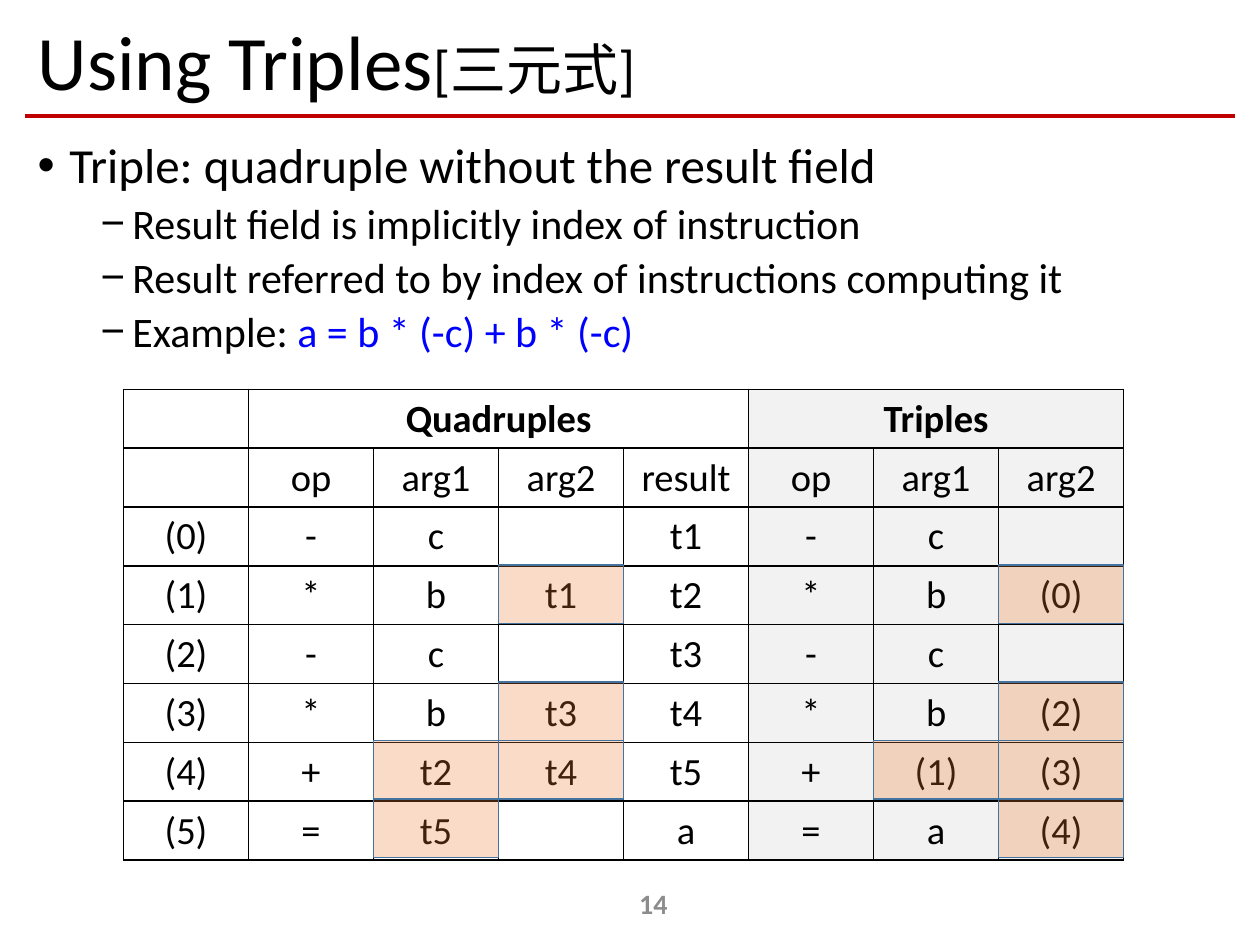
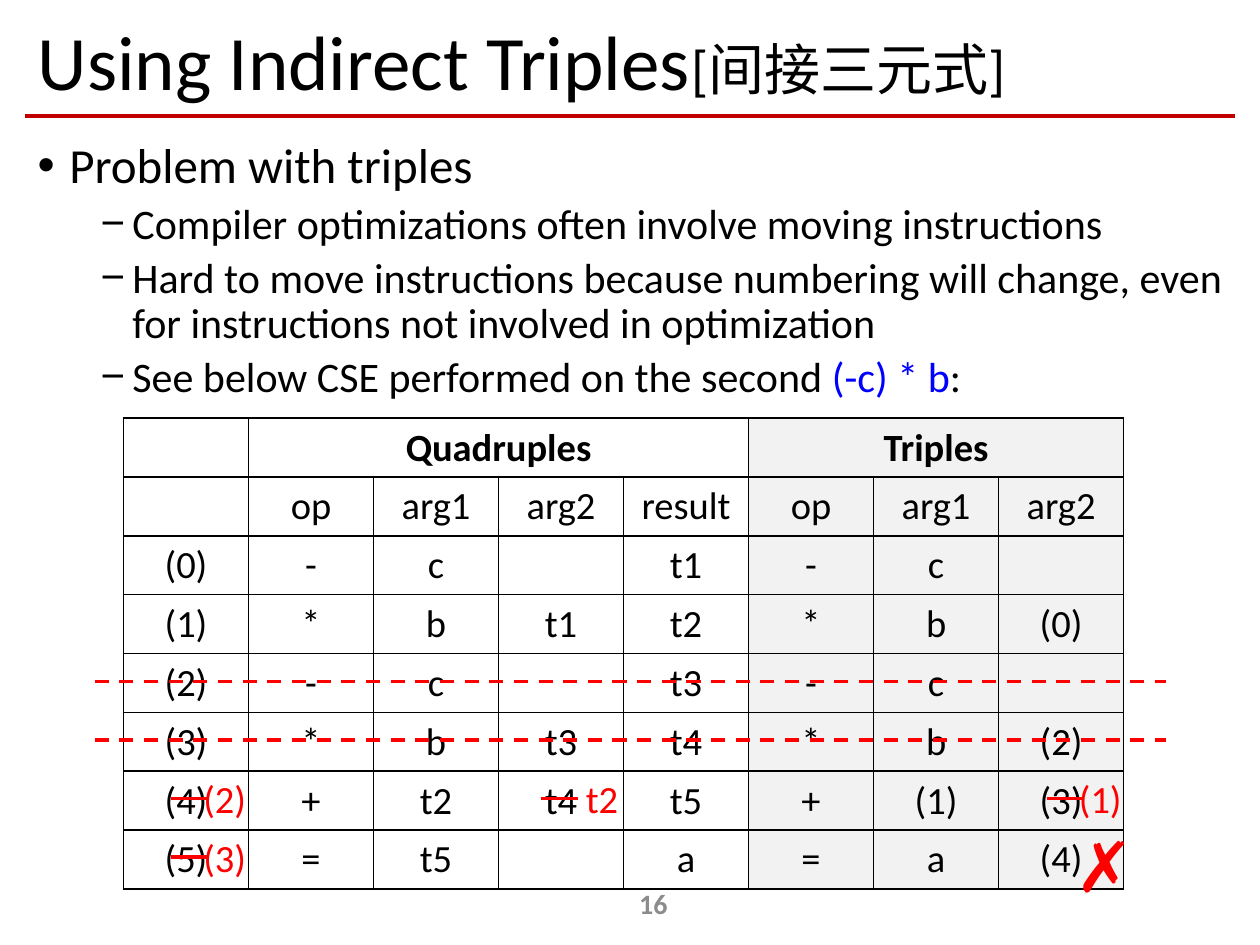
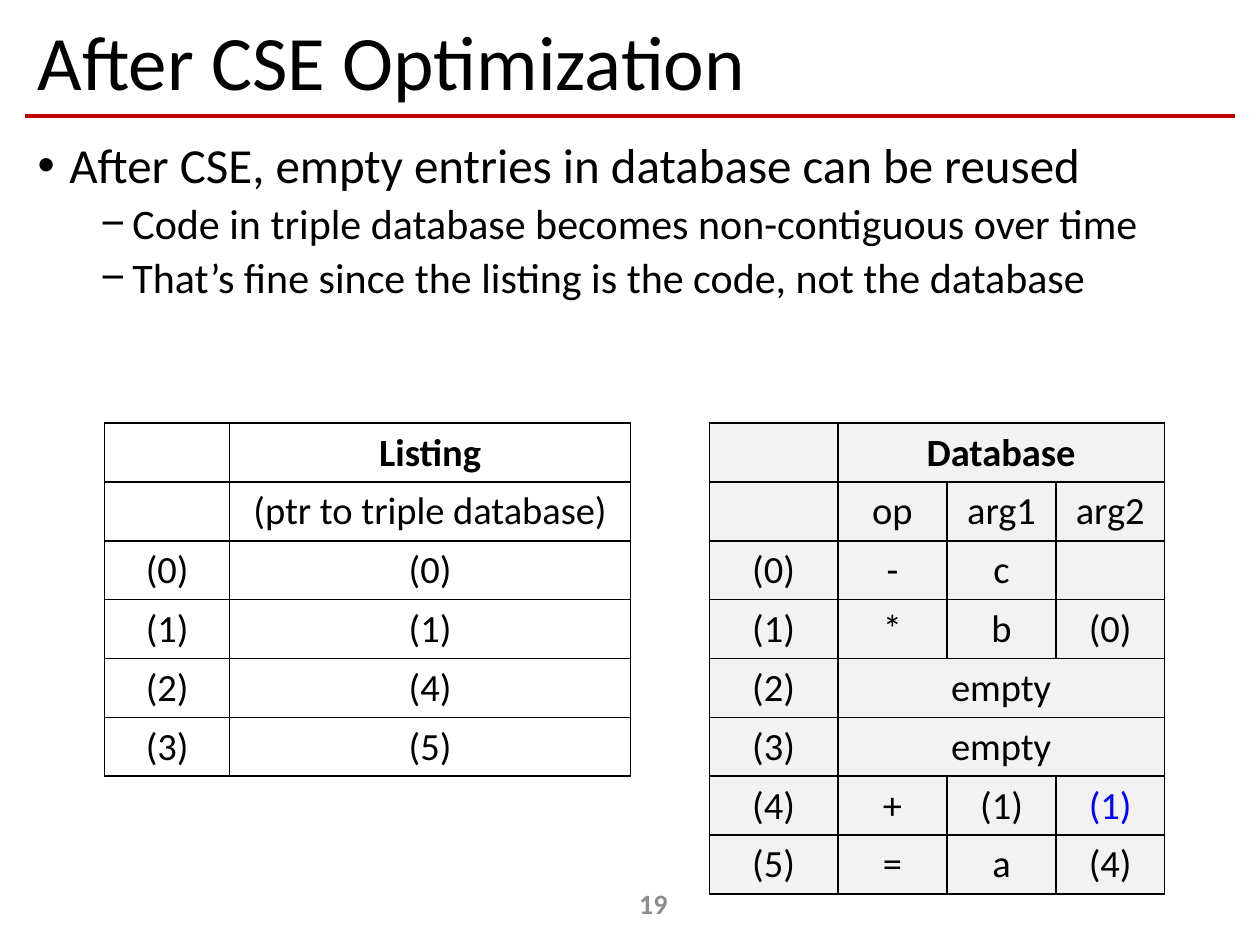
from dataclasses import dataclass

from lxml.etree import SubElement
from pptx import Presentation
from pptx.dml.color import RGBColor
from pptx.enum.dml import MSO_LINE
from pptx.enum.shapes import MSO_CONNECTOR, MSO_SHAPE
from pptx.enum.text import MSO_ANCHOR, PP_ALIGN
from pptx.oxml.ns import qn
from pptx.util import Cm, Pt


@dataclass(frozen=True)
class Theme:
    font: str = "Calibri"
    ink: str = "000000"
    rule: str = "C00000"
    code: str = "0000FF"
    change: str = "FF0000"
    muted: str = "8C8C8C"
    shade: str = "F2F2F2"
    highlight: str = "ED7D31"
    highlight_edge: str = "43739E"
    highlight_alpha: int = 27
    title: int = 44
    subtitle: int = 32
    topic: int = 28
    detail: int = 24
    cell: int = 22
    number: int = 16
    cross: int = 40


THEME = Theme()

ROW_HEIGHT = 1.18
COLUMN_WIDTH = 2.52
QUADRUPLES_LEFT = 2.49
TRIPLES_LEFT = QUADRUPLES_LEFT + 5 * COLUMN_WIDTH

QUADRUPLES = [
    ["", "Quadruples", None, None, None],
    ["", "op", "arg1", "arg2", "result"],
    ["(0)", "-", "c", "", "t1"],
    ["(1)", "*", "b", "t1", "t2"],
    ["(2)", "-", "c", "", "t3"],
    ["(3)", "*", "b", "t3", "t4"],
    ["(4)", "+", "t2", "t4", "t5"],
    ["(5)", "=", "t5", "", "a"],
]
TRIPLES = [
    ["Triples", None, None],
    ["op", "arg1", "arg2"],
    ["-", "c", ""],
    ["*", "b", "(0)"],
    ["-", "c", ""],
    ["*", "b", "(2)"],
    ["+", "(1)", "(3)"],
    ["=", "a", "(4)"],
]
LISTING = [
    ["", "Listing"],
    ["", "(ptr to triple database)"],
    ["(0)", "(0)"],
    ["(1)", "(1)"],
    ["(2)", "(4)"],
    ["(3)", "(5)"],
]
DATABASE = [
    ["", "Database", None, None],
    ["", "op", "arg1", "arg2"],
    ["(0)", "-", "c", ""],
    ["(1)", "*", "b", "(0)"],
    ["(2)", "empty", None, None],
    ["(3)", "empty", None, None],
    ["(4)", "+", "(1)", "(1)"],
    ["(5)", "=", "a", "(4)"],
]


def color(value):
    return RGBColor.from_string(value)


def format_span(span, size, ink=THEME.ink, bold=False):
    span.font.name = THEME.font
    span.font.size = Pt(size)
    span.font.bold = bold
    span.font.color.rgb = color(ink)


def add_span(para, text, size, ink=THEME.ink, bold=False):
    span = para.add_run()
    span.text = text
    format_span(span, size, ink, bold)


def add_box(page, left, top, width, height, wrap=True, anchor=MSO_ANCHOR.TOP):
    box = page.shapes.add_textbox(Cm(left), Cm(top), Cm(width), Cm(height))
    box.text_frame.word_wrap = wrap
    box.text_frame.vertical_anchor = anchor
    return box.text_frame


def add_line(page, start, end, y, ink, weight, dash=None):
    line = page.shapes.add_connector(
        MSO_CONNECTOR.STRAIGHT, Cm(start), Cm(y), Cm(end), Cm(y))
    line.line.color.rgb = color(ink)
    line.line.width = Pt(weight)
    if dash:
        line.line.dash_style = dash
    SubElement(line._element.spPr, qn("a:effectLst"))


def add_page(deck, title, number, subtitle=""):
    page = deck.slides.add_slide(deck.slide_layouts[6])
    add_line(page, 0.51, 24.89, 2.34, THEME.rule, 2.5)
    para = add_box(page, 0.51, 0.33, 24.4, 2, anchor=MSO_ANCHOR.MIDDLE).paragraphs[0]
    para.line_spacing = 0.9
    add_span(para, title, THEME.title)
    if subtitle:
        add_span(para, subtitle, THEME.subtitle)
    para = add_box(page, 10.31, 17.7, 5.72, 1.02, anchor=MSO_ANCHOR.MIDDLE).paragraphs[0]
    para.alignment = PP_ALIGN.CENTER
    add_span(para, str(number), THEME.number, THEME.muted, True)
    return page


def set_bullet(para, symbol, margin):
    properties = para._p.get_or_add_pPr()
    properties.set("marL", str(Cm(margin)))
    properties.set("indent", str(-Cm(0.64)))
    SubElement(properties, qn("a:buFont"), typeface="Arial")
    SubElement(properties, qn("a:buChar"), char=symbol)


def add_outline(page, topic, details):
    frame = add_box(page, 0.51, 2.72, 24.4, 14.43)
    para = frame.paragraphs[0]
    para.line_spacing = 0.9
    para.space_before = Pt(10)
    set_bullet(para, "•", 0.64)
    add_span(para, topic, THEME.topic)
    for detail in details:
        para = frame.add_paragraph()
        para.level = 1
        para.line_spacing = 0.9
        para.space_before = Pt(5)
        set_bullet(para, "−", 1.91)
        for text, ink in detail:
            add_span(para, text, THEME.detail, ink)


def set_borders(cell):
    properties = cell._tc.get_or_add_tcPr()
    for side in ("lnL", "lnR", "lnT", "lnB"):
        border = SubElement(properties, qn(f"a:{side}"), w=str(Pt(1)))
        fill = SubElement(border, qn("a:solidFill"))
        SubElement(fill, qn("a:srgbClr"), val=THEME.ink)


def add_grid(page, left, top, widths, rows, shade=None, accents=()):
    table = page.shapes.add_table(
        len(rows), len(widths), Cm(left), Cm(top),
        Cm(sum(widths)), Cm(ROW_HEIGHT * len(rows))).table
    table.first_row = False
    table.horz_banding = False
    for column, width in zip(table.columns, widths):
        column.width = Cm(width)
    for row_index, texts in enumerate(rows):
        table.rows[row_index].height = Cm(ROW_HEIGHT)
        for column_index, text in enumerate(texts):
            cell = table.cell(row_index, column_index)
            set_borders(cell)
            if shade:
                cell.fill.solid()
                cell.fill.fore_color.rgb = color(shade)
            else:
                cell.fill.background()
            if text:
                para = cell.text_frame.paragraphs[0]
                para.text = text
                para.alignment = PP_ALIGN.CENTER
                ink = THEME.code if (row_index, column_index) in accents else THEME.ink
                format_span(para.runs[0], THEME.cell, ink, row_index == 0)
        if None in texts:
            first = texts.index(None) - 1
            table.cell(row_index, first).merge(table.cell(row_index, len(texts) - 1))


def add_comparison(page, top):
    add_grid(page, QUADRUPLES_LEFT, top, [COLUMN_WIDTH] * 5, QUADRUPLES)
    add_grid(page, TRIPLES_LEFT, top, [COLUMN_WIDTH] * 3, TRIPLES, THEME.shade)


def add_highlight(page, top, row, column):
    box = page.shapes.add_shape(
        MSO_SHAPE.RECTANGLE, Cm(QUADRUPLES_LEFT + column * COLUMN_WIDTH),
        Cm(top + row * ROW_HEIGHT), Cm(COLUMN_WIDTH), Cm(ROW_HEIGHT))
    box.shadow.inherit = False
    box.fill.solid()
    box.fill.fore_color.rgb = color(THEME.highlight)
    tint = box._element.spPr.find(qn("a:solidFill")).find(qn("a:srgbClr"))
    SubElement(tint, qn("a:alpha"), val=str(THEME.highlight_alpha * 1000))
    box.line.color.rgb = color(THEME.highlight_edge)
    box.line.width = Pt(1)


def add_mark(page, left, top, width, height, text, size):
    para = add_box(page, left, top, width, height, wrap=False).paragraphs[0]
    add_span(para, text, size, THEME.change)


def row_middle(top, row):
    return top + (row + 0.5) * ROW_HEIGHT


def add_correction(page, top, row, left, text, gap=0.4):
    middle = row_middle(top, row)
    add_line(page, left, left + 0.76, middle, THEME.change, 2)
    add_mark(page, left + gap, middle - 0.6, 1.37, 1.19, text, THEME.cell)


def build_triples(deck):
    page = add_page(deck, "Using Triples", 14, "[三元式]")
    add_outline(page, "Triple: quadruple without the result field", [
        [("Result field is implicitly index of instruction", THEME.ink)],
        [("Result referred to by index of instructions computing it", THEME.ink)],
        [("Example: ", THEME.ink), ("a = b * (-c) + b * (-c)", THEME.code)],
    ])
    top = 7.85
    add_comparison(page, top)
    references = {3: (3, 7), 5: (3, 7), 6: (2, 3, 6, 7), 7: (2, 7)}
    for row, columns in references.items():
        for column in columns:
            add_highlight(page, top, row, column)


def build_indirect_triples(deck):
    page = add_page(deck, "Using Indirect Triples", 16, "[间接三元式]")
    add_outline(page, "Problem with triples", [
        [("Compiler optimizations often involve moving instructions", THEME.ink)],
        [("Hard to move instructions because numbering will change, even "
          "for instructions not involved in optimization", THEME.ink)],
        [("See below CSE performed on the second ", THEME.ink),
         ("(-c) * b", THEME.code), (":", THEME.ink)],
    ])
    top = 8.43
    add_comparison(page, top)
    for row in (4, 5):
        add_line(page, 1.91, 23.5, row_middle(top, row), THEME.change, 2, MSO_LINE.DASH)
    add_correction(page, top, 6, 10.9, "t2", 0.66)
    add_correction(page, top, 6, 21.1, "(1)")
    add_correction(page, top, 6, 3.45, "(2)")
    add_correction(page, top, 7, 3.45, "(3)")
    add_mark(page, 21.44, 16.46, 1.68, 1.96, "✗", THEME.cross)


def build_after_optimization(deck):
    page = add_page(deck, "After CSE Optimization", 19)
    add_outline(page, "After CSE, empty entries in database can be reused", [
        [("Code in triple database becomes non-contiguous over time", THEME.ink)],
        [("That’s fine since the listing is the code, not the database", THEME.ink)],
    ])
    top = 8.53
    add_grid(page, 14.3, top, [2.59, 2.2, 2.2, 2.18], DATABASE, THEME.shade, {(6, 3)})
    add_grid(page, 2.11, top, [COLUMN_WIDTH, 8.08], LISTING)


def main():
    deck = Presentation()
    deck.slide_width = Cm(25.4)
    deck.slide_height = Cm(19.05)
    build_triples(deck)
    build_indirect_triples(deck)
    build_after_optimization(deck)
    deck.save("out.pptx")


if __name__ == "__main__":
    main()
